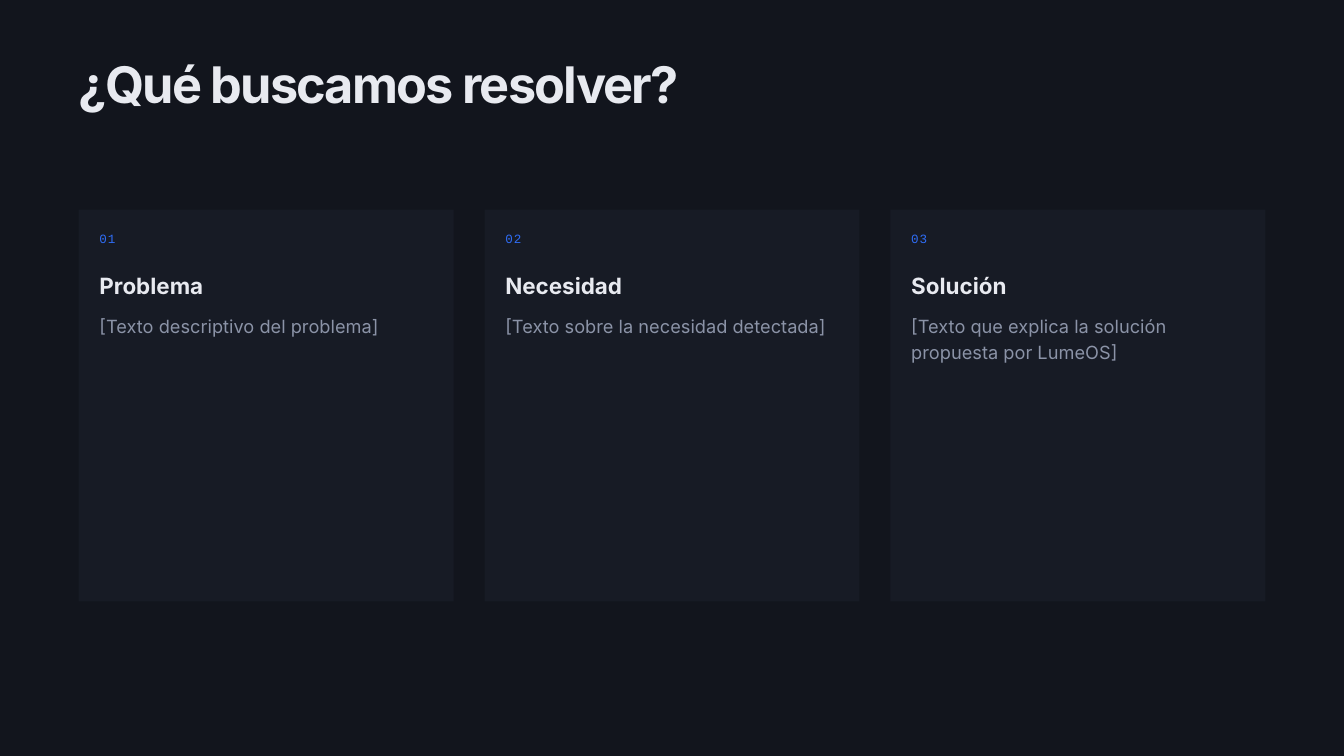
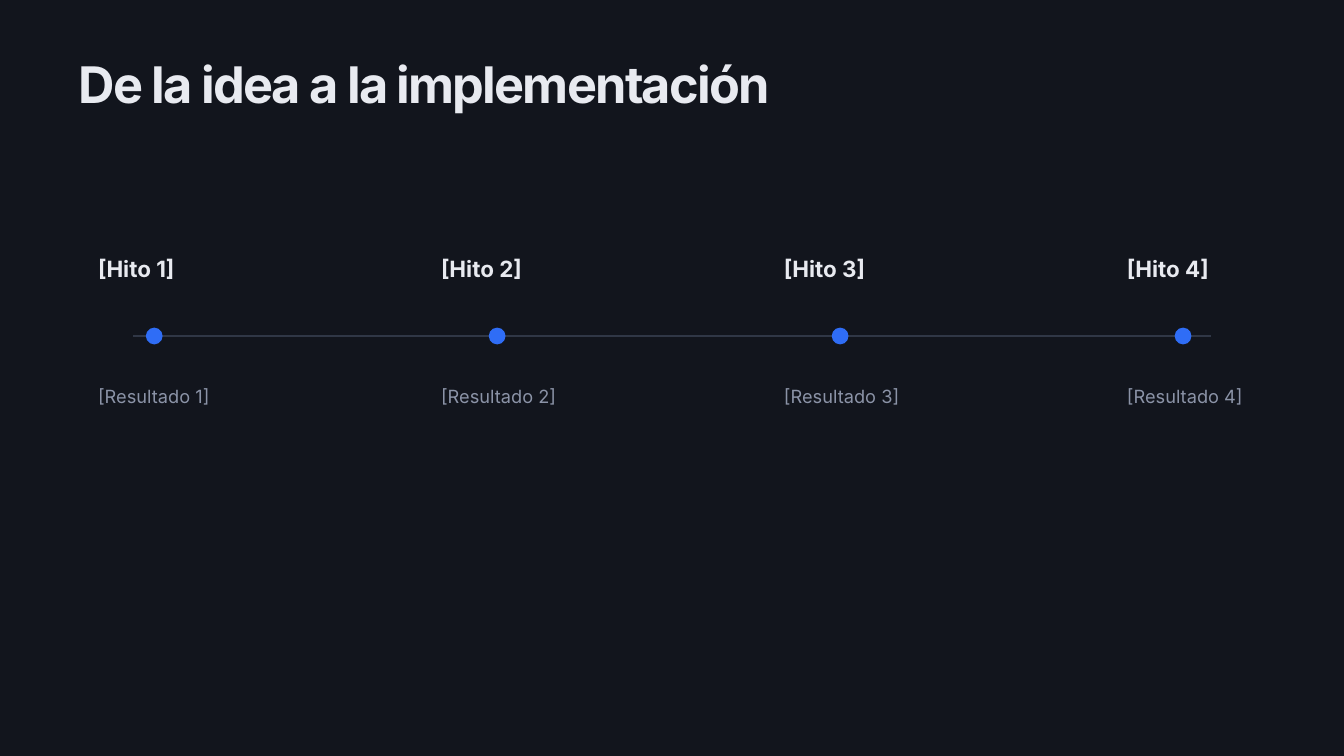
from dataclasses import dataclass

from pptx import Presentation
from pptx.dml.color import RGBColor
from pptx.enum import shapes, text
from pptx.oxml.ns import qn
from pptx.util import Inches, Pt
from lxml import etree


@dataclass(frozen=True)
class TextStyle:
    size: float
    leading: float
    color: str
    font: str = "Inter"
    bold: bool = False
    tracking: float = 0


class Theme:
    background = "12151D"
    panel = "171B25"
    rule = "303746"
    accent = "2F6DF6"
    bright = "E8EAF0"
    muted = "8B93A7"
    title = TextStyle(54, 57.2, bright, bold=True, tracking=-1.9)
    number = TextStyle(13.5, 18.9, accent, font="Courier New", tracking=1.1)
    heading = TextStyle(24, 27.6, bright, bold=True)
    body = TextStyle(19.5, 28.3, muted)


SLIDE_SIZE = (20, 11.25)
MARGIN = 1.17
CONTENT_WIDTH = SLIDE_SIZE[0] - 2 * MARGIN

CARDS = [
    ("Problema", "[Texto descriptivo del problema]"),
    ("Necesidad", "[Texto sobre la necesidad detectada]"),
    ("Solución", "[Texto que explica la solución propuesta por LumeOS]"),
]
MILESTONES = [(f"[Hito {n}]", f"[Resultado {n}]") for n in range(1, 5)]


def inches(*lengths):
    return [Inches(length) for length in lengths]


def set_all(target, values):
    for name, value in values.items():
        setattr(target, name, value)


def add_text(parent, box, wording, style):
    label = parent.add_textbox(*inches(*box))
    frame = label.text_frame
    set_all(frame, {
        "margin_left": 0, "margin_top": 0, "margin_right": 0, "margin_bottom": 0,
        "word_wrap": True, "auto_size": text.MSO_AUTO_SIZE.SHAPE_TO_FIT_TEXT,
    })
    paragraph = frame.paragraphs[0]
    paragraph.line_spacing = Pt(style.leading)
    run = paragraph.add_run()
    run.text = wording
    set_all(run.font, {"name": style.font, "size": Pt(style.size), "bold": style.bold})
    run.font.color.rgb = RGBColor.from_string(style.color)
    if style.tracking:
        run.font._element.set("spc", str(round(style.tracking * 100)))


def add_filled(parent, kind, box, color):
    figure = parent.add_shape(kind, *inches(*box))
    figure.shadow.inherit = False
    figure.fill.solid()
    figure.fill.fore_color.rgb = RGBColor.from_string(color)
    figure.line.fill.background()


def add_titled_slide(deck, title):
    slide = deck.slides.add_slide(deck.slide_layouts[6])
    slide.background.fill.solid()
    slide.background.fill.fore_color.rgb = RGBColor.from_string(Theme.background)
    add_text(slide.shapes, (MARGIN, 0.9, 15.62, 0.81), title, Theme.title)
    return slide


def add_card(slide, box, number, heading, description):
    left, top, width, _ = box
    inset = 0.31
    inner_left, inner_width = left + inset, width - 2 * inset
    card = slide.shapes.add_group_shape().shapes
    add_filled(card, shapes.MSO_SHAPE.RECTANGLE, box, Theme.panel)
    add_text(card, (inner_left, top + 0.28, 1.04, 0.24), f"{number:02}", Theme.number)
    add_text(card, (inner_left, top + 0.95, inner_width, 0.38), heading, Theme.heading)
    add_text(card, (inner_left, top + 1.5, inner_width, 0.36), description, Theme.body)


def add_card_row(slide, box, cards, gap=0.46):
    left, top, width, height = box
    card_width = (width - gap * (len(cards) - 1)) / len(cards)
    for index, (heading, description) in enumerate(cards):
        card_box = (left + index * (card_width + gap), top, card_width, height)
        add_card(slide, card_box, index + 1, heading, description)


def add_axis(slide, start, end, y):
    axis = slide.shapes.add_connector(
        shapes.MSO_CONNECTOR.STRAIGHT, *inches(start, y, end, y))
    axis.line.width = Pt(1.5)
    axis.line.color.rgb = RGBColor.from_string(Theme.rule)
    etree.SubElement(axis._element.spPr, qn("a:effectLst"))


def add_milestone(slide, left, top, heading, result):
    """Stack a heading, its dot on the axis and a result from the given corner."""
    dot = 0.25
    add_filled(slide.shapes, shapes.MSO_SHAPE.OVAL,
               (left + 0.71, top + 1.19 - dot / 2, dot, dot), Theme.accent)
    add_text(slide.shapes, (left, top, 3.12, 0.38), heading, Theme.heading)
    add_text(slide.shapes, (left, top + 1.86, 3.23, 0.38), result, Theme.body)


def add_timeline(slide, box, milestones):
    """Spread milestones evenly; the last one ends at the right edge of the box."""
    left, top, width, _ = box
    pitch = (width - 3.23) / (len(milestones) - 1)
    add_axis(slide, left + 0.52, left + 16.56, top + 1.19)
    for index, (heading, result) in enumerate(milestones):
        add_milestone(slide, left + index * pitch, top, heading, result)


def main():
    deck = Presentation()
    deck.slide_width, deck.slide_height = inches(*SLIDE_SIZE)

    purpose = add_titled_slide(deck, "¿Qué buscamos resolver?")
    add_card_row(purpose, (MARGIN, 3.12, CONTENT_WIDTH, 5.83), CARDS)

    roadmap = add_titled_slide(deck, "De la idea a la implementación")
    add_timeline(roadmap, (1.46, 3.81, 18.54, 2.24), MILESTONES)

    deck.save("out.pptx")


if __name__ == "__main__":
    main()
